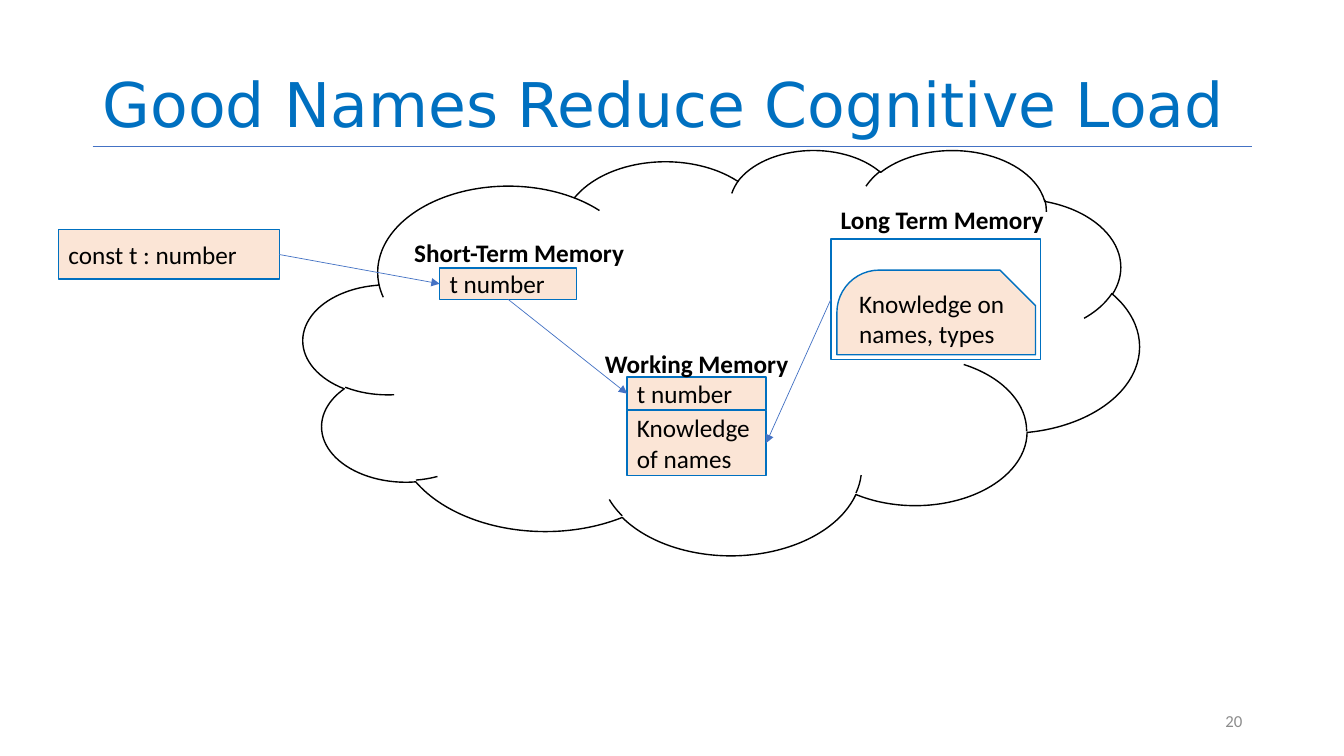
from lxml.etree import SubElement
from pptx import Presentation
from pptx.dml.color import RGBColor
from pptx.enum.shapes import MSO_CONNECTOR, MSO_SHAPE
from pptx.enum.text import MSO_ANCHOR, PP_ALIGN
from pptx.oxml.ns import qn
from pptx.util import Inches, Pt

BLACK = RGBColor(0x00, 0x00, 0x00)
BLUE = RGBColor(0x00, 0x70, 0xC0)
ARROW_BLUE = RGBColor(0x44, 0x72, 0xC4)
PEACH = RGBColor(0xFB, 0xE5, 0xD6)
GRAY = RGBColor(0x8C, 0x8C, 0x8C)

SLIDE_WIDTH, SLIDE_HEIGHT = Inches(13.33), Inches(7.5)

# The slide is a grid of 100 columns by 100 rows.
COLUMN, ROW = SLIDE_WIDTH / 100, SLIDE_HEIGHT / 100
TOP, LEFT, BOTTOM, RIGHT = range(4)  # connection sites of a rectangle

MARGIN_LEFT, MARGIN_RIGHT, TITLE_BOTTOM = 6.9, 93.17, 19.33
WORKING_LEFT, WORKING_TOP, WORKING_WIDTH = 46.66, 49.87, 10.35
TOKEN_HEIGHT = 4.4


def place(left, top, width, height):
    return (round(left * COLUMN), round(top * ROW),
            round(width * COLUMN), round(height * ROW))


def write(shape, text, size=18, color=BLACK, font="Calibri", bold=False,
          align=PP_ALIGN.LEFT, anchor=MSO_ANCHOR.MIDDLE):
    frame = shape.text_frame
    frame.text = text
    frame.word_wrap = True
    frame.vertical_anchor = anchor
    paragraph = frame.paragraphs[0]
    paragraph.alignment = align
    paragraph.font.size = Pt(size)
    paragraph.font.name = font
    paragraph.font.bold = bold
    paragraph.font.color.rgb = color
    return paragraph


def add_text(slide, text, area, **style):
    return write(slide.shapes.add_textbox(*place(*area)), text, **style)


def add_outline(slide, area, kind=MSO_SHAPE.RECTANGLE, line=BLUE):
    shape = slide.shapes.add_shape(kind, *place(*area))
    shape.shadow.inherit = False
    shape.fill.background()
    shape.line.color.rgb = line
    shape.line.width = Pt(1)
    return shape


def add_box(slide, text, area, kind=MSO_SHAPE.RECTANGLE):
    shape = add_outline(slide, area, kind)
    shape.fill.solid()
    shape.fill.fore_color.rgb = PEACH
    write(shape, text)
    return shape


def add_line(slide, start=(0, 0), end=(0, 0)):
    points = place(*start, *end)
    line = slide.shapes.add_connector(MSO_CONNECTOR.STRAIGHT, *points)
    line.line.color.rgb = ARROW_BLUE
    line.line.width = Pt(0.5)
    SubElement(line._element.spPr, qn("a:effectLst"))
    return line


def add_arrow(slide, source, source_site, target, target_site):
    arrow = add_line(slide)
    arrow.begin_connect(source, source_site)
    arrow.end_connect(target, target_site)
    SubElement(arrow.line._get_or_add_ln(), qn("a:tailEnd"), type="triangle")


def add_memory_label(slide, text, left, top):
    add_text(slide, text, (left, top, 18.83, 5.6), bold=True)


def main():
    presentation = Presentation()
    presentation.slide_width, presentation.slide_height = SLIDE_WIDTH, SLIDE_HEIGHT
    slide = presentation.slides.add_slide(presentation.slide_layouts[6])

    add_line(slide, (MARGIN_LEFT, TITLE_BOTTOM), (MARGIN_RIGHT, TITLE_BOTTOM))
    add_outline(slide, (22.58, 19.73, 62.19, 53.6), MSO_SHAPE.CLOUD, BLACK)
    title = add_text(slide, "Good Names Reduce Cognitive Load",
                     (MARGIN_LEFT, 0, MARGIN_RIGHT - MARGIN_LEFT, TITLE_BOTTOM),
                     size=44, color=BLUE, font="DejaVu Sans",
                     anchor=MSO_ANCHOR.BOTTOM)
    title.line_spacing = 0.9
    add_text(slide, "20", (MARGIN_RIGHT - 22.5, 92.67, 22.5, 5.33),
             size=12, color=GRAY, align=PP_ALIGN.RIGHT)

    declaration = add_box(slide, "const t : number", (4.35, 30.4, 16.43, 6.53))
    long_term = add_outline(slide, (61.82, 31.6, 15.6, 16))
    working_token = add_box(slide, "t number", (WORKING_LEFT, WORKING_TOP,
                                                WORKING_WIDTH, TOKEN_HEIGHT))
    short_term = add_box(slide, "t number", (32.71, 35.47, 10.2, 4.13))
    knowledge = add_box(slide, "Knowledge on names, types",
                        (62.27, 35.73, 14.78, 11.2), MSO_SHAPE.SNIP_ROUND_RECTANGLE)
    knowledge.adjustments[0] = 0.5
    knowledge.adjustments[1] = 0.42
    working_knowledge = add_box(slide, "Knowledge of names",
                                (WORKING_LEFT, WORKING_TOP + TOKEN_HEIGHT,
                                 WORKING_WIDTH, 8.67))

    add_memory_label(slide, "Short-Term Memory", 30.08, 30.53)
    add_memory_label(slide, "Long Term Memory", 61.82, 26.27)
    add_memory_label(slide, "Working Memory", 44.26, 45.33)

    add_arrow(slide, declaration, RIGHT, short_term, LEFT)
    add_arrow(slide, short_term, BOTTOM, working_token, LEFT)
    add_arrow(slide, long_term, LEFT, working_knowledge, RIGHT)

    presentation.save("out.pptx")


if __name__ == "__main__":
    main()
